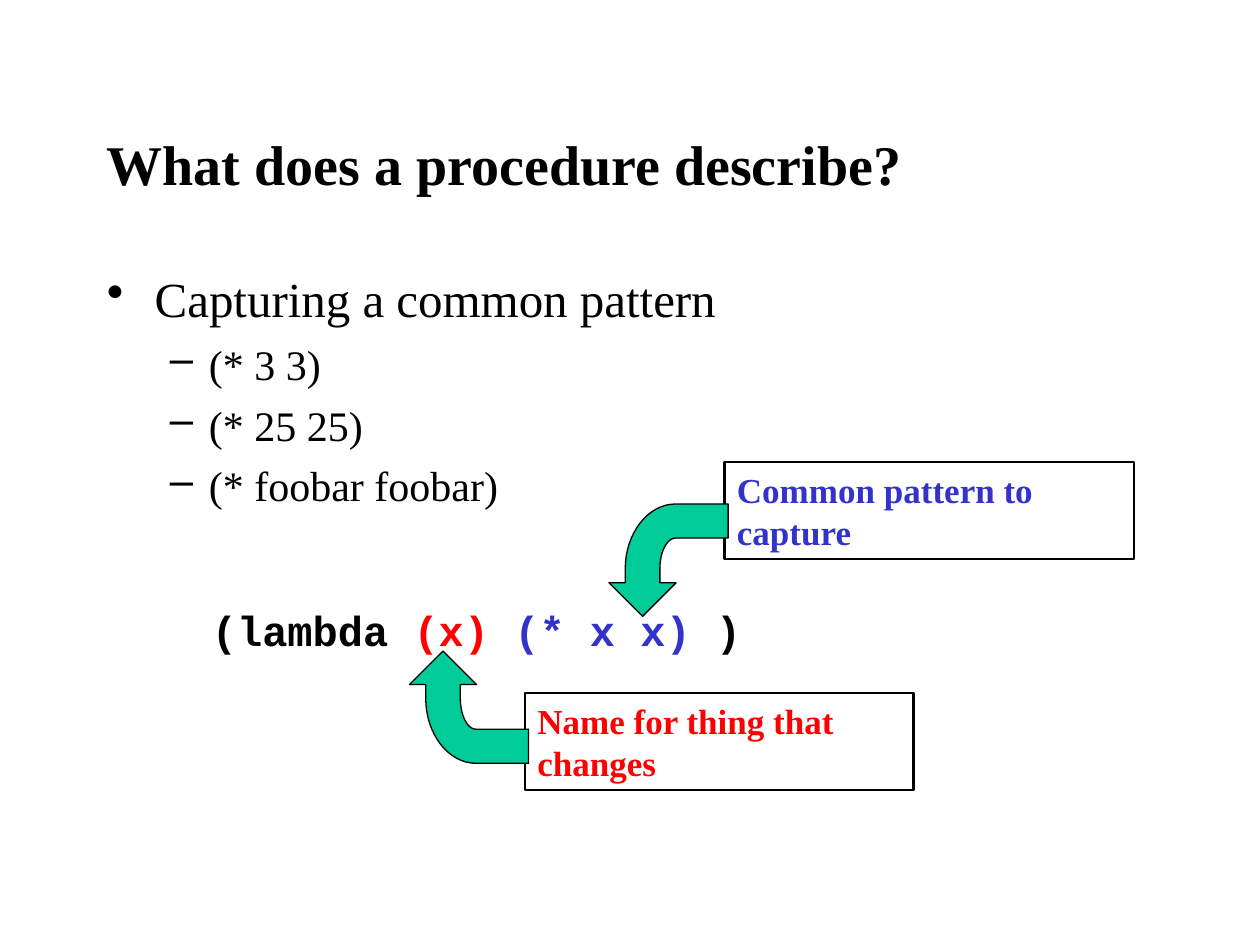
"""Build a slide on what a procedure describes, with two annotated parts of a lambda."""
from lxml.etree import SubElement
from pptx import Presentation
from pptx.dml.color import RGBColor as RGB
from pptx.enum.shapes import MSO_SHAPE as SHAPE
from pptx.enum.text import MSO_ANCHOR as ANCHOR, PP_ALIGN as ALIGN
from pptx.oxml.ns import qn
from pptx.util import Inches, Pt

COLORS = {"black": "000000", "red": "FF0000", "blue": "3333CC", "green": "00CC99"}
SERIF, MONO = "Times New Roman", "Courier New"
COLS, ROWS = 120, 90

TITLE = "What does a procedure describe?"
BULLETS = [(0, "Capturing a common pattern"), (1, "(* 3 3)"),
           (1, "(* 25 25)"), (1, "(* foobar foobar)")]
LEVELS = [
    {"mark": "•", "size": 28, "before": 7, "left": 0.38, "hang": 0.38},
    {"mark": "–", "size": 24, "before": 6, "left": 0.81, "hang": 0.31},
]
CODE = [("(lambda ", "black"), ("(x) ", "red"), ("(* x x)", "blue"), (" )", "black")]
CALLOUTS = [
    {"text": "Name for thing that changes", "color": "red",
     "box": (50, 66, 37, 9.25), "tip": (42.2, 62), "turn": 1},
    {"text": "Common pattern to capture", "color": "blue",
     "box": (69, 44, 39, 9.25), "tip": (61.2, 58.7), "turn": -1},
]
ARROW = [
    [(0, 0)], [(-3.2, 3.2)], [(-1.65, 3.2)], [(-1.65, 4.5)],
    [(-1.65, 7.9), (0.5, 10.7), (3.15, 10.7)],
    [(8.15, 10.7)], [(8.15, 7.45)], [(3.15, 7.45)],
    [(2.3, 7.45), (1.65, 6.1), (1.65, 4.5)],
    [(1.65, 3.2)], [(3.2, 3.2)],
]

prs = Presentation()
prs.slide_width, prs.slide_height = Inches(10), Inches(7.5)
s = prs.slides.add_slide(prs.slide_layouts[6])
UNIT_X, UNIT_Y = prs.slide_width / COLS, prs.slide_height / ROWS


def place(x, y):
    return round(x * UNIT_X), round(y * UNIT_Y)


def style(r, size, color, font=SERIF, bold=True):
    r.font.name, r.font.size, r.font.bold = font, Pt(size), bold
    r.font.color.rgb = RGB.from_string(COLORS[color])


def outline(sp, width):
    sp.shadow.inherit = False
    sp.line.color.rgb = RGB.from_string(COLORS["black"])
    sp.line.width = Pt(width)


def add_text(x, y, w, h, anchor=ANCHOR.TOP):
    tf = s.shapes.add_textbox(*place(x, y), *place(w, h)).text_frame
    tf.word_wrap, tf.vertical_anchor = True, anchor
    return tf


def add_bullet(p, mark, left, hang):
    pPr = p._p.get_or_add_pPr()
    pPr.set("marL", str(Inches(left)))
    pPr.set("indent", str(-Inches(hang)))
    SubElement(pPr, qn("a:buChar")).set("char", mark)


def arrow_points(steps=16):
    points = []
    for step in ARROW:
        if len(step) == 1:
            points += step
            continue
        curve = [points[-1], *step]
        for i in range(1, steps + 1):
            t = i / steps
            weights = ((1 - t) ** 3, 3 * t * (1 - t) ** 2, 3 * t * t * (1 - t), t ** 3)
            points.append(tuple(sum(k * c[axis] for k, c in zip(weights, curve))
                                for axis in (0, 1)))
    return points


def add_callout(text, color, box, tip, turn):
    x, y, w, h = box
    sp = s.shapes.add_shape(SHAPE.RECTANGLE, *place(x, y), *place(w, h))
    sp.fill.background()
    outline(sp, 1.5)
    tf = sp.text_frame
    tf.word_wrap, tf.vertical_anchor = True, ANCHOR.TOP
    tf.text = text
    p = tf.paragraphs[0]
    p.alignment, p.space_before = ALIGN.LEFT, Pt(12.5)
    style(p.runs[0], 20, color)

    points = [place(tip[0] + dx, tip[1] + turn * dy) for dx, dy in arrow_points()]
    path = s.shapes.build_freeform(*points[0])
    path.add_line_segments(points[1:], close=True)
    arrow = path.convert_to_shape()
    arrow.fill.solid()
    arrow.fill.fore_color.rgb = RGB.from_string(COLORS["green"])
    outline(arrow, 0.75)


tf = add_text(9, 8, 102, 15, ANCHOR.MIDDLE)
tf.text = TITLE
style(tf.paragraphs[0].runs[0], 32, "black")

tf = add_text(9, 25, 102, 28)
tf.text = "\n".join(text for _, text in BULLETS)
for p, (depth, _) in zip(tf.paragraphs, BULLETS):
    level = LEVELS[depth]
    p.level, p.space_before = depth, Pt(level["before"])
    add_bullet(p, level["mark"], level["left"], level["hang"])
    style(p.runs[0], level["size"], "black", bold=False)

p = add_text(19, 57, 96, 6).paragraphs[0]
p.space_before = Pt(15)
for text, color in CODE:
    r = p.add_run()
    r.text = text
    style(r, 24, color, MONO)

for callout in CALLOUTS:
    add_callout(**callout)

prs.save("out.pptx")
